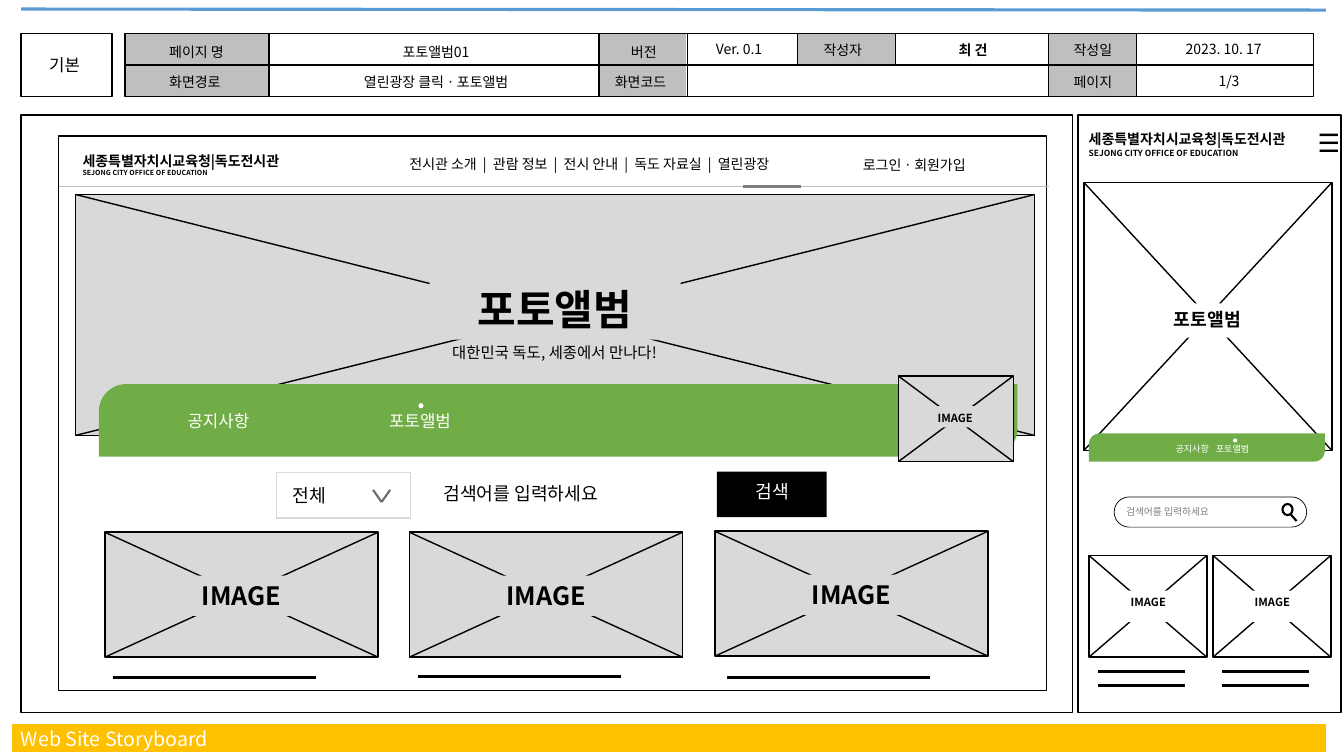
from lxml import etree
from pptx import Presentation
from pptx.dml.color import RGBColor
from pptx.enum.shapes import MSO_CONNECTOR, MSO_SHAPE
from pptx.enum.text import PP_ALIGN
from pptx.oxml.ns import qn
from pptx.util import Inches, Pt

RECT = MSO_SHAPE.RECTANGLE
ROUND = MSO_SHAPE.ROUNDED_RECTANGLE
DIAG = MSO_SHAPE.ROUND_2_DIAG_RECTANGLE
OVAL = MSO_SHAPE.OVAL
RING = MSO_SHAPE.FLOWCHART_CONNECTOR
STRAIGHT = MSO_CONNECTOR.STRAIGHT
LEFT, MID = PP_ALIGN.LEFT, PP_ALIGN.CENTER

COLORS = {
    "black": "000000", "white": "FFFFFF", "blue": "5B9BD5", "gold": "FFC000",
    "green": "70AD47", "pale": "D9D9D9", "silver": "BFBFBF", "gray": "808080",
    "dark": "6B6B6B",
}


class Board:
    font = "Noto Sans CJK KR"

    def __init__(self, slide):
        self.shapes = slide.shapes

    def color(self, name):
        return RGBColor.from_string(COLORS[name])

    def paint(self, shape, fill):
        if fill:
            shape.fill.solid()
            shape.fill.fore_color.rgb = self.color(fill)
        else:
            shape.fill.background()

    def box(self, x, y, w, h, fill=None, edge=None, width=1, kind=RECT, adj=()):
        shape = self.shapes.add_shape(kind, Inches(x), Inches(y), Inches(w), Inches(h))
        shape.shadow.inherit = False
        for i, value in enumerate(adj):
            shape.adjustments[i] = value
        self.paint(shape, fill)
        if edge:
            shape.line.color.rgb = self.color(edge)
            shape.line.width = Pt(width)
        else:
            shape.line.fill.background()
        return shape

    def line(self, x1, y1, x2, y2, color="black", width=1):
        link = self.shapes.add_connector(
            STRAIGHT, Inches(x1), Inches(y1), Inches(x2), Inches(y2))
        etree.SubElement(link._element.spPr, qn("a:effectLst"))
        link.line.color.rgb = self.color(color)
        link.line.width = Pt(width)
        return link

    def text(self, x, y, w, h, words, size, color="black", bold=False,
             align=LEFT, fill=None, inset=0.1, tab=None):
        area = self.shapes.add_textbox(Inches(x), Inches(y), Inches(w), Inches(h))
        if fill:
            self.paint(area, fill)
        frame = area.text_frame
        frame.word_wrap = True
        frame.margin_left = Inches(inset)
        self.style(frame.paragraphs[0], words, size, color, bold, align, tab)
        return frame

    def style(self, para, words, size, color, bold, align, tab=None):
        para.text = words
        para.alignment = align
        if tab:
            stops = etree.SubElement(para._p.get_or_add_pPr(), qn("a:tabLst"))
            etree.SubElement(stops, qn("a:tab"), pos=str(Inches(tab)), algn="l")
        font = para.font
        font.size = Pt(size)
        font.bold = bold
        font.color.rgb = self.color(color)
        font.name = self.font
        etree.SubElement(font._element, qn("a:ea"), typeface=self.font)

    def brand(self, x, y, w, h, small):
        frame = self.text(x, y, w, h, "세종특별자치시교육청|독도전시관", 10, bold=True)
        self.style(frame.add_paragraph(), "SEJONG CITY OFFICE OF EDUCATION",
                   small, "black", True, LEFT)

    def photo(self, x, y, w, h, fill, label, words, size):
        self.box(x, y, w, h, fill, "black")
        self.line(x, y, x + w, y + h)
        self.line(x, y + h, x + w, y)
        dx, dy, lw, lh = label
        self.text(x + dx, y + dy, lw, lh, words, size, bold=True, align=MID, fill=fill)

    def banner(self, x, y, w, h):
        self.box(x, y, w, h, "green", kind=DIAG, adj=(0.379, 0))

    def dot(self, x, y, size):
        self.box(x, y, size, size, "white", kind=OVAL)


def header(board):
    board.box(0.21, 0.33, 0.9, 0.63, "white", "black")
    board.text(0.39, 0.49, 0.54, 0.36, "기본", 12)
    board.line(0.21, 0.09, 13.15, 0.1, "blue", 2.25)
    for x, w, h in ((10.4, 0.88, 0.63), (1.24, 1.44, 0.63),
                    (5.94, 0.87, 0.63), (7.91, 0.97, 0.32)):
        board.box(x, 0.33, w, h, "silver", "white")
    frame = board.box(1.24, 0.33, 11.79, 0.63, None, "black")
    rule = board.line(1.24, 0.65, 13.03, 0.65)
    rule.begin_connect(frame, 1)
    rule.end_connect(frame, 3)
    for x, y, w, words, align in (
            (1.58, 0.38, 0.94, "페이지 명", LEFT),
            (1.58, 0.68, 0.94, "화면경로", LEFT),
            (6, 0.68, 0.76, "화면코드", LEFT),
            (8.07, 0.36, 0.67, "작성자", LEFT),
            (10.55, 0.36, 0.62, "작성일", LEFT),
            (6.01, 0.38, 0.75, "버전", MID),
            (10.55, 0.68, 0.62, "페이지", LEFT),
            (2.84, 0.38, 2.97, "포토앨범01", MID),
            (2.84, 0.68, 2.97, "열린광장 클릭ㆍ포토앨범", MID),
            (6.9, 0.35, 0.86, "Ver. 0.1", MID),
            (9.22, 0.36, 0.86, "최 건", MID),
            (11.63, 0.35, 1.01, "2023. 10. 17", MID),
            (11.59, 0.67, 1.2, "1/3", MID)):
        board.text(x, y, w, 0.27, words, 10, bold=words == "최 건", align=align)
    for x in (2.67, 5.94, 6.82, 10.4, 11.27):
        board.line(x, 0.33, x, 0.96)
    for x in (7.91, 8.88):
        board.line(x, 0.33, x, 0.65)


def footer(board):
    board.line(0.12, 7.32, 13.15, 7.32, "gold", 20)
    board.text(0.11, 7.16, 2.61, 0.34, "Web Site Storyboard", 14, "white")


def desktop(board):
    board.box(0.58, 1.35, 9.8, 5.5, "white", "black")
    board.brand(0.72, 1.46, 2.52, 0.35, 5)
    menu = ("전시관 소개", "관람 정보", "전시 안내", "독도 자료실", "열린광장")
    board.text(3.62, 1.49, 4.45, 0.27, "  |  ".join(menu), 10, align=MID)
    board.text(8.46, 1.5, 1.32, 0.27, "로그인ㆍ회원가입", 10)
    board.photo(0.75, 1.93, 9.51, 2.39, "pale",
                (3.51, 0.83, 2.49, 0.61), "포토앨범", 30)
    board.text(4.07, 3.35, 2.86, 0.29, "대한민국 독도, 세종에서 만나다!", 11, align=MID)
    board.banner(0.98, 3.81, 9.11, 0.72)
    board.text(1.29, 4.03, 3.74, 0.3, "공지사항\t포토앨범", 12, "white",
               inset=0.57, tab=2)
    board.dot(4.15, 4, 0.05)
    board.photo(8.91, 3.73, 1.14, 0.85, "pale", (0.25, 0.3, 0.63, 0.21), "IMAGE", 8)
    board.line(0.59, 1.85, 10.4, 1.85, "silver", 0.5)
    board.line(7.37, 1.85, 7.94, 1.85, "gray", 2.25)

    board.box(2.74, 4.69, 1.33, 0.45, None, "pale")
    board.text(2.76, 4.76, 0.62, 0.32, "전체", 13, align=MID)
    for x in (3.7, 3.87):
        board.line(x, 4.86, 3.785, 4.98, "dark", 1.5)
    board.box(4.18, 4.68, 2.61, 0.45, "white")
    board.text(4.3, 4.74, 1.93, 0.32, "검색어를 입력하세요", 13)
    board.box(7.11, 4.68, 1.09, 0.45, "black")
    board.text(7.35, 4.72, 0.62, 0.32, "검색", 13, "white", align=MID)

    for x, y, start, base in ((1.04, 5.28, 1.12, 6.72), (4.06, 5.28, 4.15, 6.71),
                              (7.09, 5.27, 7.21, 6.72)):
        board.photo(x, y, 2.71, 1.24, "pale", (0.61, 0.43, 1.49, 0.4), "IMAGE", 18)
        board.line(start, base, start + 2.01, base, width=2.25)


def mobile(board):
    board.box(10.69, 1.14, 2.61, 5.93, "white", "black")
    board.photo(10.75, 1.81, 2.46, 2.66, "white",
                (0.16, 1.2, 2.13, 0.34), "포토앨범", 13)
    board.line(12.8, 5.1, 12.86, 5.17, width=1.5)
    board.box(12.72, 5, 0.1, 0.11, "white", "black", 1.5, RING)
    board.box(11.05, 4.93, 1.91, 0.3, None, "black", 0.5, ROUND, (0.5,))
    board.text(11.07, 4.97, 1.21, 0.22, "검색어를 입력하세요", 7, "gray")
    for x in (10.8, 12.03):
        board.photo(x, 5.51, 1.17, 1.01, "white", (0.11, 0.35, 0.96, 0.31), "IMAGE", 8)
        for y in (6.66, 6.8):
            board.line(x + 0.09, y, x + 0.95, y, width=2.25)
    board.text(12.97, 1.21, 0.3, 0.44, "☰", 18, align=MID)
    board.brand(10.7, 1.25, 2.34, 0.4, 6)
    board.banner(10.8, 4.3, 2.34, 0.28)
    board.text(11.05, 4.35, 1.96, 0.21, "공지사항\t포토앨범", 6.5, "white",
               inset=0.61, tab=0.4)
    board.dot(12.23, 4.35, 0.04)


def main():
    deck = Presentation()
    deck.slide_width = Inches(13.33)
    deck.slide_height = Inches(7.5)
    board = Board(deck.slides.add_slide(deck.slide_layouts[6]))
    board.box(0.21, 1.14, 10.43, 5.93, "white", "black")
    header(board)
    footer(board)
    desktop(board)
    mobile(board)
    deck.save("out.pptx")


if __name__ == "__main__":
    main()
